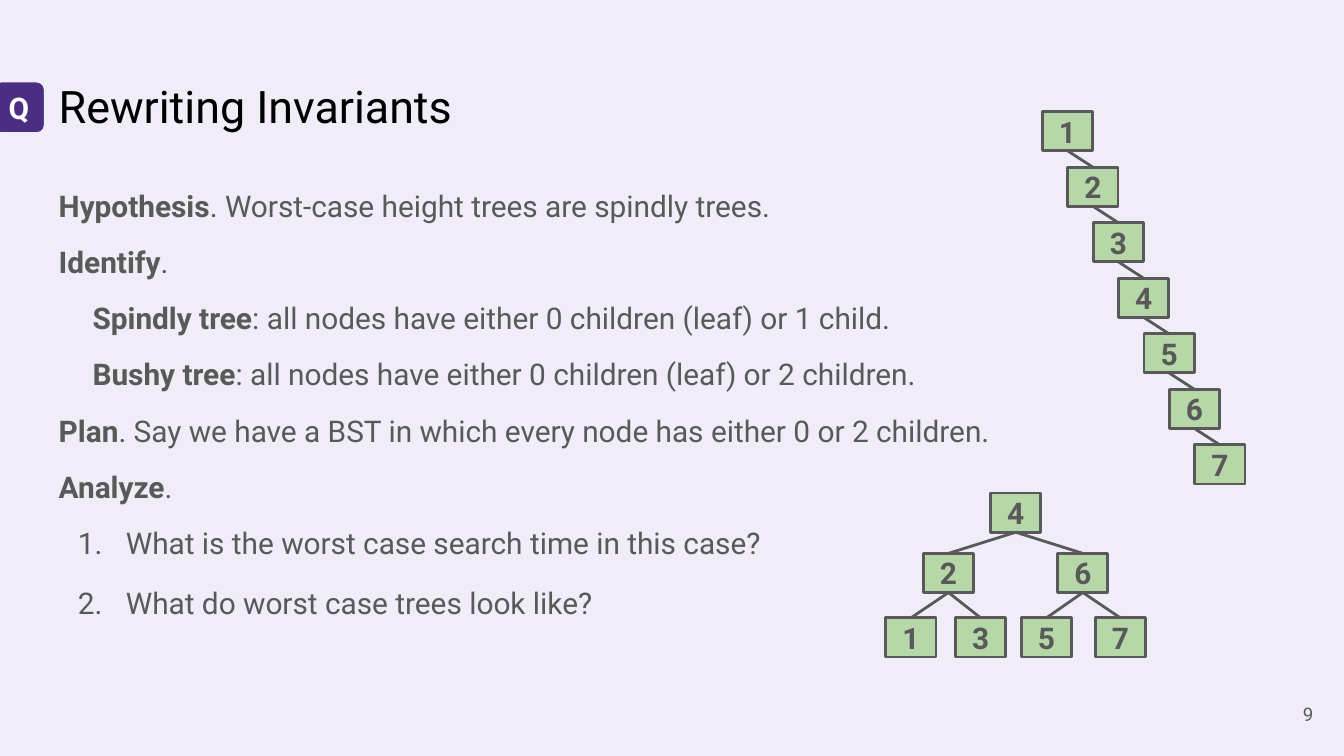
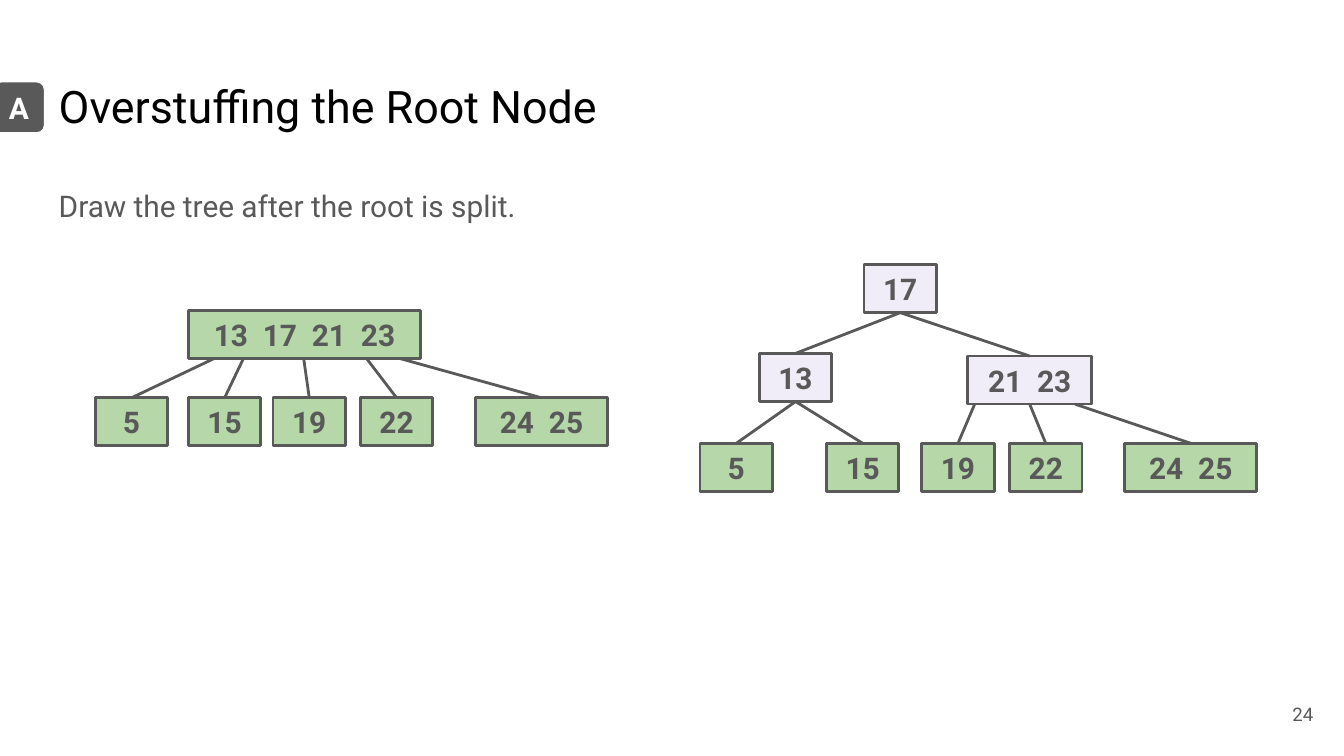
from lxml import etree
from pptx import Presentation
from pptx.dml.color import RGBColor
from pptx.enum.shapes import MSO_CONNECTOR, MSO_SHAPE
from pptx.enum.text import MSO_ANCHOR, MSO_AUTO_SIZE, PP_ALIGN
from pptx.oxml.ns import qn
from pptx.util import Cm, Pt

# Shared style
COLOURS = {
    "lavender": "F0ECF8",
    "white": "FFFFFF",
    "black": "000000",
    "grey": "595959",
    "purple": "4B2E83",
    "green": "B6D7A8",
}
FONT = "Roboto"
TEXT_SIZE = 16
INSET = Cm(0.25)
LEFT, CENTER, RIGHT = PP_ALIGN.LEFT, PP_ALIGN.CENTER, PP_ALIGN.RIGHT
TOP, MIDDLE = MSO_ANCHOR.TOP, MSO_ANCHOR.MIDDLE
NO_AUTOFIT = MSO_AUTO_SIZE.NONE
RECTANGLE, ROUNDED = MSO_SHAPE.RECTANGLE, MSO_SHAPE.ROUNDED_RECTANGLE
STRAIGHT = MSO_CONNECTOR.STRAIGHT

# Node sizes in cm: the number tree, then the trees with one, two or four keys
SMALL = (0.95, 0.74)
ONE_KEY, TWO_KEYS = (1.37, 0.91), (2.49, 0.91)
ROOT_KEYS, MIDDLE_KEYS = (4.39, 0.91), (2.34, 0.91)


def rgb(name):
    return RGBColor.from_string(COLOURS[name])


def format_span(span, size, colour, bold=False):
    span.font.name = FONT
    span.font.size = Pt(size)
    span.font.bold = bold
    span.font.color.rgb = rgb(colour)


def prepare_frame(shape, anchor):
    frame = shape.text_frame
    frame.word_wrap = True
    frame.auto_size = NO_AUTOFIT
    frame.vertical_anchor = anchor
    frame.margin_left = frame.margin_right = INSET
    frame.margin_top = frame.margin_bottom = INSET
    return frame


def place(shape, left, top, width, height):
    shape.left, shape.top = Cm(left), Cm(top)
    shape.width, shape.height = Cm(width), Cm(height)


def set_line_of_text(shape, text, size, colour, align, anchor, bold=False):
    para = prepare_frame(shape, anchor).paragraphs[0]
    para.text = text
    para.alignment = align
    format_span(para.runs[0], size, colour, bold)


# Parts that every slide has
def add_page(deck, background, title, badge, badge_colour, number):
    page = deck.slides.add_slide(deck.slide_layouts[1])
    page.background.fill.solid()
    page.background.fill.fore_color.rgb = rgb(background)

    place(page.shapes.title, 0.86, 1.24, 23.67, 1.6)
    set_line_of_text(page.shapes.title, title, 24, "black", LEFT, TOP)

    box = page.shapes.add_textbox(Cm(23.55), Cm(12.95), Cm(1.52), Cm(1.09))
    set_line_of_text(box, number, 10, "grey", RIGHT, MIDDLE)

    tab = add_box(page.shapes, ROUNDED, (-0.15, 1.52), (1.02, 1.02),
                  badge_colour, background, 2.25)
    tab.adjustments[0] = 0.167
    set_line_of_text(tab, badge, TEXT_SIZE, "white", CENTER, MIDDLE, True)
    return page


def add_box(shapes, kind, corner, size, fill, line, line_width):
    box = shapes.add_shape(kind, *map(Cm, corner + size))
    box.shadow.inherit = False
    box.fill.solid()
    box.fill.fore_color.rgb = rgb(fill)
    box.line.color.rgb = rgb(line)
    box.line.width = Pt(line_width)
    return box


# Body text
def set_list_style(para, margin, hanging, numbered):
    properties = para._p.get_or_add_pPr()
    properties.set("marL", str(int(Cm(margin))))
    properties.set("indent", str(int(Cm(-hanging))))
    if numbered:
        colour = etree.SubElement(properties, qn("a:buClr"))
        etree.SubElement(colour, qn("a:srgbClr"), val=COLOURS["grey"])
        etree.SubElement(properties, qn("a:buAutoNum"), type="arabicPeriod")
    else:
        etree.SubElement(properties, qn("a:buNone"))


def fill_body(page, height, lines):
    """Each line is (style, bold lead, plain rest, space before, space after)."""
    styles = {"plain": (0, 0, False), "indented": (0.64, 0, False),
              "numbered": (1.27, 0.91, True)}
    body = page.placeholders[1]
    place(body, 0.86, 3.2, 23.67, height)
    frame = prepare_frame(body, TOP)
    for index, (style, lead, rest, before, after) in enumerate(lines):
        para = frame.add_paragraph() if index else frame.paragraphs[0]
        set_list_style(para, *styles[style])
        para.alignment = LEFT
        para.line_spacing = 1.15
        para.space_before, para.space_after = Pt(before), Pt(after)
        for text, bold in ((lead, True), (rest, False)):
            if text:
                span = para.add_run()
                span.text = text
                format_span(span, TEXT_SIZE, "grey", bold)


# Trees
def add_node(shapes, keys, corner, size, fill):
    node = add_box(shapes, RECTANGLE, corner, size, fill, "grey", 1.5)
    para = prepare_frame(node, MIDDLE).paragraphs[0]
    para.alignment = CENTER
    for index, key in enumerate(keys.split()):
        for text in ([" "] if index else []) + [key]:
            span = para.add_run()
            span.text = text
            format_span(span, TEXT_SIZE, "grey", True)
            if text == " ":  # widen the gap between two keys
                span._r.get_or_add_rPr().set("spc", "400")
    return node


def add_edge(shapes, parent, child, start=None):
    """Join parent's bottom (at start cm, else its middle) to child's top."""
    begin = parent.left + parent.width // 2 if start is None else Cm(start)
    edge = shapes.add_connector(STRAIGHT, begin, parent.top + parent.height,
                                child.left + child.width // 2, child.top)
    edge.line.color.rgb = rgb("grey")
    edge.line.width = Pt(1.5)
    etree.SubElement(edge._element.spPr, qn("a:effectLst"))


def add_tree(page, nodes, edges):
    """Nodes are (keys, corner, size, fill); edges (parent, child[, start])."""
    shapes = page.shapes.add_group_shape().shapes
    drawn = {node[0]: add_node(shapes, *node) for node in nodes}
    for parent, child, *start in edges:
        add_edge(shapes, drawn[parent], drawn[child], *start)


def row(top, size, fill, lefts):
    return [(keys, (left, top), size, fill) for keys, left in lefts.items()]


def add_bushy_tree(page):
    nodes = (row(9.32, SMALL, "green", {"4": 18.72})
             + row(10.46, SMALL, "green", {"2": 17.45, "6": 19.99})
             + row(11.68, SMALL, "green",
                   {"1": 16.74, "3": 18.06, "5": 19.3, "7": 20.7}))
    add_tree(page, nodes, ["42", "46", "21", "23", "65", "67"])


def add_spindly_tree(page):
    nodes = [(str(step + 1), (19.7 + 0.48 * step, 2.11 + 1.05 * step),
              SMALL, "green") for step in range(7)]
    add_tree(page, nodes, [(str(n), str(n + 1)) for n in range(1, 7)])


def add_overstuffed_tree(page):
    root = "13 17 21 23"
    nodes = (row(5.87, ROOT_KEYS, "green", {root: 3.56})
             + row(7.52, ONE_KEY, "green",
                   {"5": 1.8, "15": 3.56, "19": 5.16, "22": 6.81})
             + row(7.52, TWO_KEYS, "green", {"24 25": 8.99}))
    starts = {"5": 4.04, "15": 4.6, "19": 5.74, "22": 6.93, "24 25": 7.57}
    add_tree(page, nodes, [(root, key, x) for key, x in starts.items()])


def add_split_tree(page):
    nodes = (row(5, ONE_KEY, "lavender", {"17": 16.33})
             + row(6.68, ONE_KEY, "lavender", {"13": 14.35})
             + row(6.73, MIDDLE_KEYS, "lavender", {"21 23": 18.29})
             + row(8.38, ONE_KEY, "green",
                   {"5": 13.23, "15": 15.62, "19": 17.42, "22": 19.08})
             + row(8.38, TWO_KEYS, "green", {"24 25": 21.26}))
    add_tree(page, nodes, [
        ("17", "13"), ("17", "21 23"), ("13", "5"), ("13", "15"),
        ("21 23", "19", 18.42), ("21 23", "22"), ("21 23", "24 25", 20.32)])


def main():
    deck = Presentation()
    deck.slide_width, deck.slide_height = Cm(25.4), Cm(14.29)

    # Question: rewriting invariants
    page = add_page(deck, "lavender", "Rewriting Invariants", "Q", "purple", "9")
    fill_body(page, 9.5, [
        ("plain", "Hypothesis",
         ". Worst-case height trees are spindly trees.", 0, 0),
        ("plain", "Identify", ".", 8, 0),
        ("indented", "Spindly tree",
         ": all nodes have either 0 children (leaf) or 1 child.", 8, 0),
        ("indented", "Bushy tree",
         ": all nodes have either 0 children (leaf) or 2 children.", 8, 0),
        ("plain", "Plan",
         ". Say we have a BST in which every node has either 0 or 2 children.",
         8, 0),
        ("plain", "Analyze", ".", 8, 0),
        ("numbered", "",
         "What is the worst case search time in this case?", 8, 0),
        ("numbered", "", "What do worst case trees look like?", 10, 10),
    ])
    add_bushy_tree(page)
    add_spindly_tree(page)

    # Answer: splitting the root
    page = add_page(deck, "white", "Overstuffing the Root Node", "A", "grey", "24")
    fill_body(page, 1.14, [
        ("plain", "", "Draw the tree after the root is split.", 0, 8)])
    add_overstuffed_tree(page)
    add_split_tree(page)

    deck.save("out.pptx")


if __name__ == "__main__":
    main()
